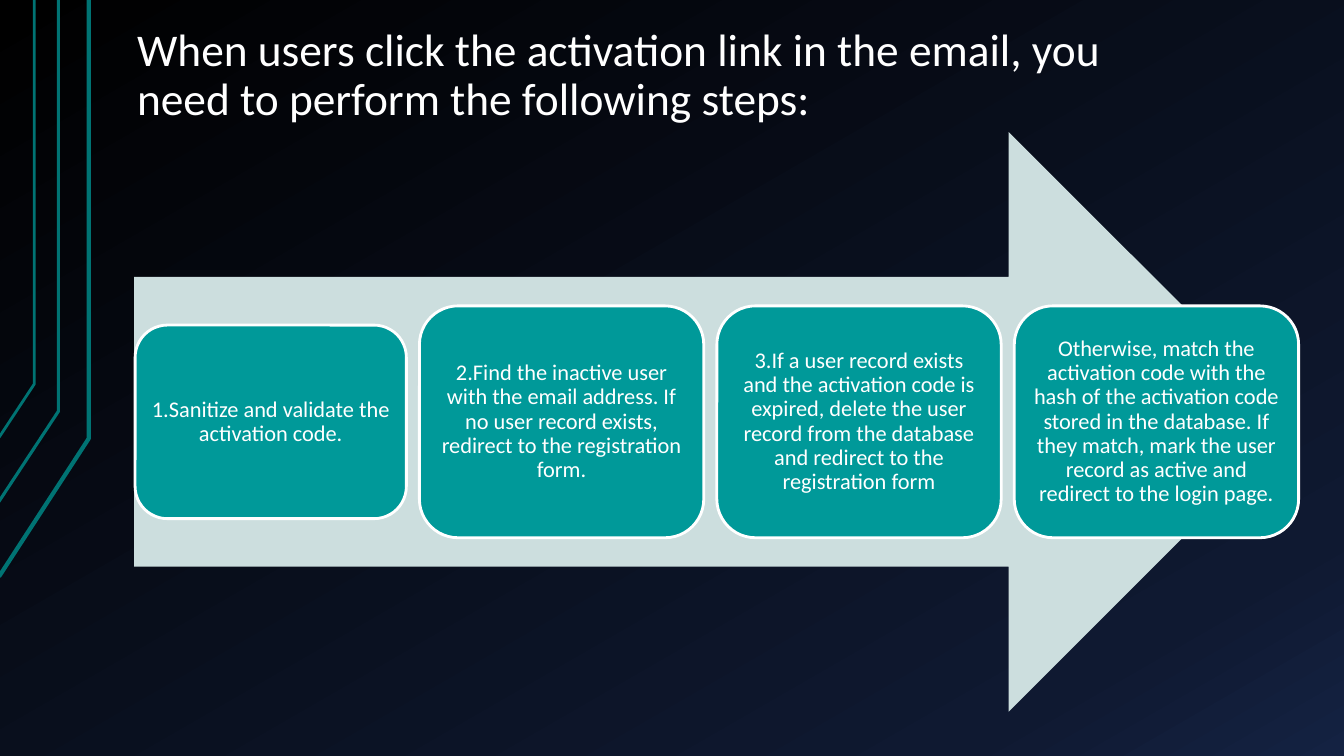
"""Build the slide of activation steps along a wide arrow."""
from copy import deepcopy
from dataclasses import dataclass

from pptx import Presentation
from pptx.dml.color import RGBColor
from pptx.enum.shapes import MSO_SHAPE
from pptx.enum.text import MSO_ANCHOR, MSO_AUTO_SIZE, PP_ALIGN
from pptx.oxml.ns import qn
from pptx.util import Inches, Pt


@dataclass(frozen=True)
class Theme:
    font: str = "Calibri"
    white: str = "FFFFFF"
    box: str = "009999"
    arrow: str = "CCDEDE"
    trace: str = "007373"
    back: tuple = ((0, "000000"), (0.85, "0F1931"), (1, "142242"))
    head: float = 32.4
    body: float = 16


THEME = Theme()
TITLE = "When users click the activation link in the email, you need to perform the following steps:"
STEPS = [
    ("1.Sanitize and validate the activation code.", 2.69, 1.92),
    ("2.Find the inactive user with the email address. If no user record exists, "
     "redirect to the registration form.", 2.82, 2.3),
    ("3.If a user record exists and the activation code is expired, delete the user "
     "record from the database and redirect to the registration form", 2.82, 2.3),
    ("Otherwise, match the activation code with the hash of the activation code stored "
     "in the database. If they match, mark the user record as active and redirect to "
     "the login page.", 2.82, 2.3),
]
TRACES = [
    (3, [(-1, 572), (88, 435), (88, 0)]),
    (2.25, [(-2, 499), (58, 408), (58, 0)]),
    (2, [(-1, 434), (34, 381), (34, 0)]),
]
ARROW = (1.33, 1.31, 11.55, 5.75)
START, GAP = 1.34, 0.13


def color(code):
    return RGBColor.from_string(code)


def paint(slide):
    fill = slide.background.fill
    fill.gradient()
    fill.gradient_angle = 300
    stops = next(slide.element.iter(qn("a:gsLst")))
    stops.append(deepcopy(stops[-1]))
    for stop, (place, code) in zip(fill.gradient_stops, THEME.back):
        stop.position = place
        stop.color.rgb = color(code)


def write(shape, text, size, align, anchor, pad):
    frame = shape.text_frame
    frame.text = text
    frame.word_wrap = True
    frame.auto_size = MSO_AUTO_SIZE.NONE
    frame.vertical_anchor = anchor
    frame.margin_left = frame.margin_right = Inches(pad)
    frame.margin_top = frame.margin_bottom = Inches(0.07)
    para = frame.paragraphs[0]
    para.alignment = align
    para.line_spacing = 0.9
    para.font.name = THEME.font
    para.font.size = Pt(size)
    para.font.color.rgb = color(THEME.white)


def outline(shape, code, width):
    shape.shadow.inherit = False
    shape.line.color.rgb = color(code)
    shape.line.width = Pt(width)


def block(slide, kind, area, code):
    shape = slide.shapes.add_shape(kind, *map(Inches, area))
    shape.shadow.inherit = False
    shape.fill.solid()
    shape.fill.fore_color.rgb = color(code)
    shape.line.fill.background()
    return shape


def trace(slide, width, points):
    pen = slide.shapes.build_freeform(*points[0], scale=Inches(0.01))
    pen.add_line_segments(points[1:], close=False)
    shape = pen.convert_to_shape()
    shape.fill.background()
    outline(shape, THEME.trace, width)


def main():
    deck = Presentation()
    deck.slide_width, deck.slide_height = Inches(13.33), Inches(7.5)
    slide = deck.slides.add_slide(deck.slide_layouts[5])
    paint(slide)
    for width, points in TRACES:
        trace(slide, width, points)

    title = slide.shapes.title
    title.left, title.top, title.width, title.height = map(Inches, (1.23, 0.21, 10.71, 1.1))
    write(title, TITLE, THEME.head, PP_ALIGN.LEFT, MSO_ANCHOR.BOTTOM, 0.13)

    block(slide, MSO_SHAPE.RIGHT_ARROW, ARROW, THEME.arrow)
    middle = ARROW[1] + ARROW[3] / 2
    left = START
    for text, width, height in STEPS:
        area = (left, middle - height / 2, width, height)
        box = block(slide, MSO_SHAPE.ROUNDED_RECTANGLE, area, THEME.box)
        outline(box, THEME.white, 2)
        write(box, text, THEME.body, PP_ALIGN.CENTER, MSO_ANCHOR.MIDDLE, 0.07)
        left += width + GAP
    deck.save("out.pptx")


main()
